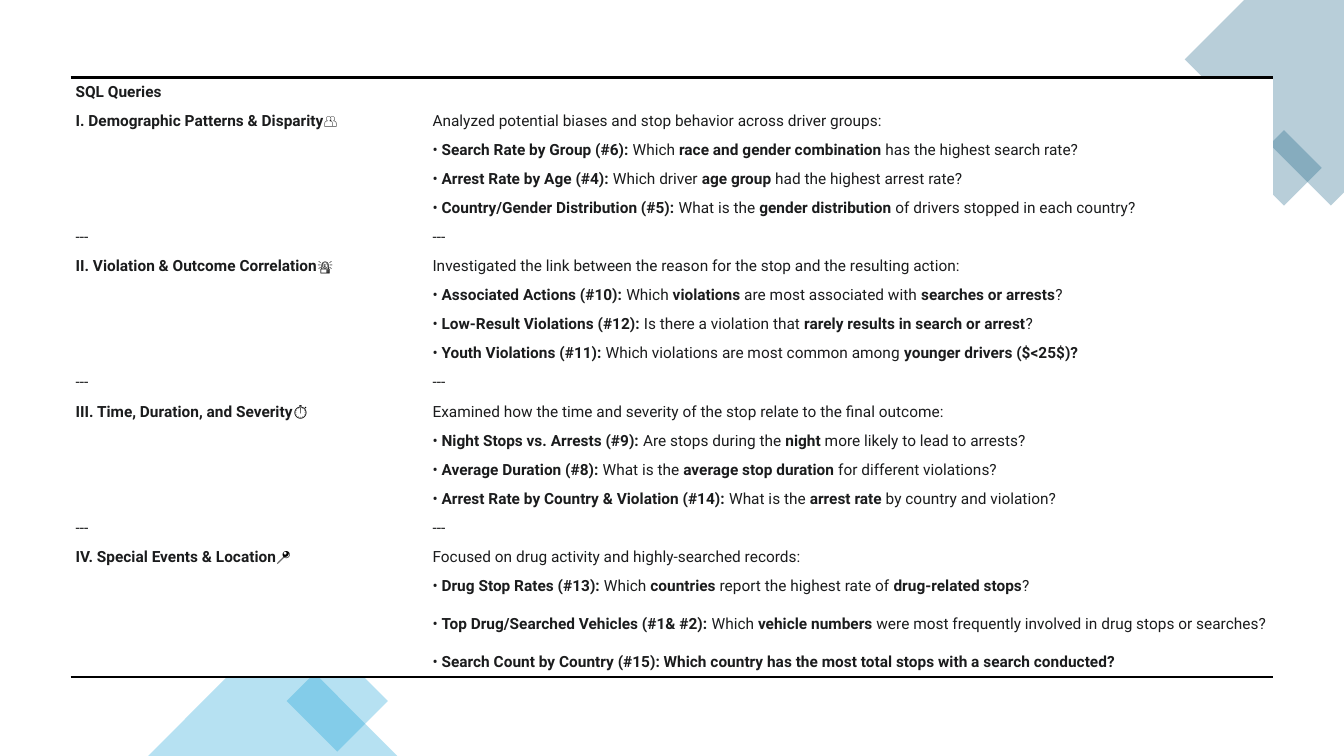
"""Build the slide that lists the SQL queries by theme."""
from lxml.etree import SubElement
from pptx import Presentation
from pptx.dml.color import RGBColor
from pptx.enum.shapes import MSO_SHAPE as Shape
from pptx.enum.text import MSO_ANCHOR as Anchor
from pptx.oxml.ns import qn
from pptx.util import Inches, Pt

TEAL, BLUE, INK, BLACK, WHITE = "156082", "0F9ED5", "1B1C1D", "000000", "FFFFFF"
NO_STYLE = "{2D5ABB26-0587-4C30-8999-92F81FD0307C}"


def paint(fill, color, opacity=100):
    """Fill with a solid colour at an opacity in percent."""
    fill.solid()
    fill.fore_color.rgb = RGBColor.from_string(color)
    if opacity < 100:
        color_node = fill._xPr.find(qn("a:solidFill"))[0]
        SubElement(color_node, qn("a:alpha"), val=str(opacity * 1000))


def add_border(cell, edge):
    """Draw a black two-point rule on one edge of a cell."""
    line = SubElement(cell._tc.get_or_add_tcPr(), qn(f"a:{edge}"), w=str(Pt(2)))
    solid = SubElement(line, qn("a:solidFill"))
    SubElement(solid, qn("a:srgbClr"), val=BLACK)


presentation = Presentation()
presentation.slide_width, presentation.slide_height = Inches(13.33), Inches(7.5)
slide = presentation.slides.add_slide(presentation.slide_layouts[6])

corner_points = [(13.33, 0), (12.34, 0), (11.75, 0.59), (13.2, 2.04), (13.33, 1.91)]
corner_points = [(Inches(x), Inches(y)) for x, y in corner_points]
builder = slide.shapes.build_freeform(*corner_points[0], scale=1.0)
builder.add_line_segments(corner_points[1:], close=True)
decorations = [(builder.convert_to_shape(), TEAL, 0)]
for kind, left, top, width, height, rotation, color in [
    (Shape.RECTANGLE, 12.47, 1.4, 0.53, 0.53, 315, TEAL),
    (Shape.RECTANGLE, 2.99, 6.6, 0.71, 0.71, 45, BLUE),
    (Shape.ISOSCELES_TRIANGLE, 1.47, 6.26, 2.47, 1.24, 0, BLUE),
]:
    shape = slide.shapes.add_shape(
        kind, Inches(left), Inches(top), Inches(width), Inches(height))
    decorations.append((shape, color, rotation))
for shape, color, rotation in decorations:
    shape.rotation = rotation
    shape.shadow.inherit = False
    shape.line.fill.background()
    paint(shape.fill, color, 30)

sections = [
    ("**I. Demographic Patterns & Disparity**👥",
     "Analyzed potential biases and stop behavior across driver groups:", [
         "**Search Rate by Group (#6):** Which **race and gender combination** has the highest search rate?",
         "**Arrest Rate by Age (#4):** Which driver **age group** had the highest arrest rate?",
         "**Country/Gender Distribution (#5):** What is the **gender distribution** of drivers stopped in each country?"]),
    ("**II. Violation & Outcome Correlation**🚨",
     "Investigated the link between the reason for the stop and the resulting action:", [
         "**Associated Actions (#10):** Which **violations** are most associated with **searches or arrests**?",
         "**Low-Result Violations (#12):** Is there a violation that **rarely results in search or arrest**?",
         "**Youth Violations (#11):** Which violations are most common among **younger drivers ($<25$)?**"]),
    ("**III. Time, Duration, and Severity**⏱️",
     "Examined how the time and severity of the stop relate to the final outcome:", [
         "**Night Stops vs. Arrests (#9):** Are stops during the **night** more likely to lead to arrests?",
         "**Average Duration (#8):** What is the **average stop duration** for different violations?",
         "**Arrest Rate by Country & Violation (#14):** What is the **arrest rate** by country and violation?"]),
    ("**IV. Special Events & Location**📍",
     "Focused on drug activity and highly-searched records:", [
         "**Drug Stop Rates (#13):** Which **countries** report the highest rate of **drug-related stops**?",
         "**Top Drug/Searched Vehicles (#1& #2):** Which **vehicle numbers** were most frequently involved in drug stops or searches?",
         "**Search Count by Country (#15): Which country has the most total stops with a search conducted?**"]),
]
rows = [("**SQL Queries**", "")]
for number, (heading, summary, queries) in enumerate(sections):
    if number:
        rows.append(("---", "---"))
    rows.append((heading, summary))
    rows += [("", "• " + query) for query in queries]

table = slide.shapes.add_table(
    len(rows), 2, Inches(0.7), Inches(0.77), Inches(11.93), Inches(5.95)).table
table.first_row = table.horz_banding = False
table._tbl.tblPr.find(qn("a:tableStyleId")).text = NO_STYLE
table.columns[0].width, table.columns[1].width = Inches(3.54), Inches(8.39)
tall_row = len(rows) - 2
for row_index, row_texts in enumerate(rows):
    table.rows[row_index].height = Inches(
        0.47 if row_index == tall_row else (5.95 - 0.47) / (len(rows) - 1))
    for column_index, text in enumerate(row_texts):
        cell = table.cell(row_index, column_index)
        if row_index == 0:
            add_border(cell, "lnT")
        if row_index == len(rows) - 1:
            add_border(cell, "lnB")
        paint(cell.fill, WHITE)
        cell.vertical_anchor = Anchor.MIDDLE
        cell.margin_left = cell.margin_right = Inches(0.05)
        cell.margin_top = cell.margin_bottom = Inches(0.03)
        paragraph = cell.text_frame.paragraphs[0]
        if not text:
            SubElement(paragraph._p, qn("a:endParaRPr"), sz="1100")
        for part_index, part in enumerate(text.split("**")):
            if not part:
                continue
            run = paragraph.add_run()
            run.text = part
            font = run.font
            font.name, font.size = "Roboto", Pt(11)
            font.bold = part_index % 2 == 1
            is_icon = column_index == 0 and part_index == 2
            font.color.rgb = RGBColor.from_string(BLACK if is_icon else INK)

presentation.save("out.pptx")
